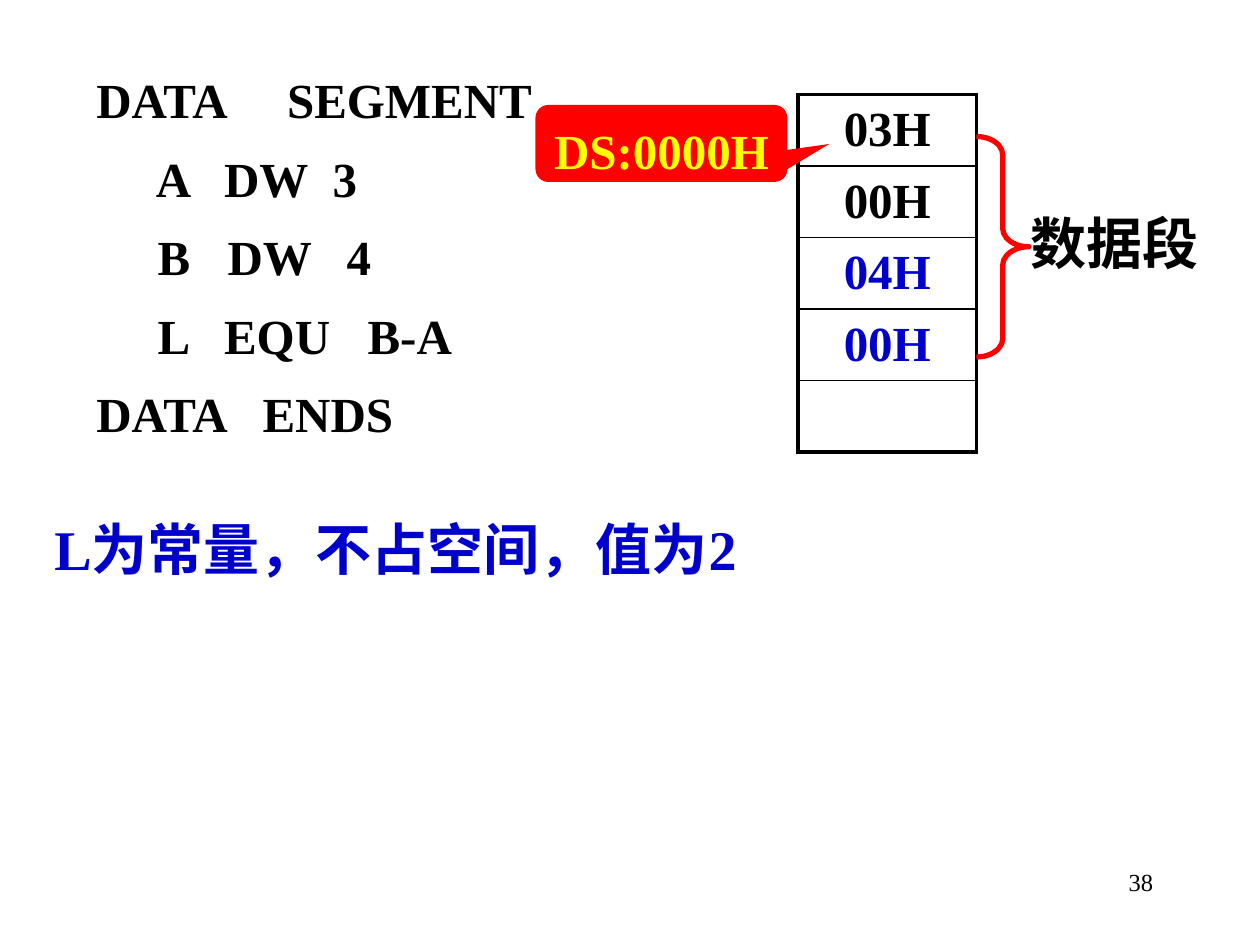
import pptx
import pptx.util
import pptx.dml.color
import pptx.enum.shapes
import pptx.enum.text
import pptx.oxml.ns
from lxml import etree

Pt = pptx.util.Pt
SHAPES = pptx.enum.shapes.MSO_SHAPE
ALIGN = pptx.enum.text.PP_ALIGN
ANCHOR = pptx.enum.text.MSO_ANCHOR
FONT = "Times New Roman"
BLACK, BLUE, RED, YELLOW = "000000", "0000CC", "FF0000", "FFFF00"


def color(hex_code):
    return pptx.dml.color.RGBColor.from_string(hex_code)


def sub(parent, tag, **attributes):
    child = etree.SubElement(parent, pptx.oxml.ns.qn(tag))
    for key, value in attributes.items():
        child.set(key, str(value))
    return child


def write(frame, lines, size=28, hue=BLACK, bold=True, align=ALIGN.LEFT,
          spacing=1.0, before=0, inset=(7.2, 3.6), anchor=ANCHOR.TOP, tabs=None):
    """Fill a text frame; tabs holds one list of stops for each line."""
    frame.word_wrap = True
    frame.vertical_anchor = anchor
    frame.margin_left = frame.margin_right = Pt(inset[0])
    frame.margin_top = frame.margin_bottom = Pt(inset[1])
    for index, line in enumerate(lines):
        paragraph = frame.paragraphs[0] if index == 0 else frame.add_paragraph()
        paragraph.alignment = align
        paragraph.line_spacing = spacing
        paragraph.space_before = Pt(before)
        run = paragraph.add_run()
        run.text = line
        run.font.name = FONT
        run.font.size = Pt(size)
        run.font.bold = bold
        run.font.color.rgb = color(hue)
        if tabs:
            stops = sub(paragraph._p.get_or_add_pPr(), "a:tabLst")
            for stop in tabs[index]:
                sub(stops, "a:tab", pos=int(Pt(stop)), algn="l")


def text_box(slide, box, lines, **style):
    label = slide.shapes.add_textbox(*map(Pt, box))
    write(label.text_frame, lines, **style)


def code_listing(slide, box):
    rows = [
        ("DATA\tSEGMENT", [109]),
        ("\tA\tDW\t3", [34, 73, 135]),
        ("\tB\tDW\t4", [35, 75, 143]),
        ("\tL\tEQU\tB-A", [35, 73, 155]),
        ("DATA\tENDS", [95]),
    ]
    text_box(slide, box, [line for line, _ in rows], spacing=1.2, before=4.5,
             tabs=[stops for _, stops in rows])


def cell_border(cell, side, width):
    line = sub(cell._tc.get_or_add_tcPr(), "a:" + side, w=int(Pt(width)))
    sub(sub(line, "a:solidFill"), "a:srgbClr", val=BLACK)


def memory_cells(slide, box):
    values = [("03H", BLACK), ("00H", BLACK), ("04H", BLUE), ("00H", BLUE), ("", BLACK)]
    memory = slide.shapes.add_table(len(values), 1, *map(Pt, box)).table
    memory.first_row = memory.horz_banding = False
    last = len(values) - 1
    for index, (value, hue) in enumerate(values):
        memory.rows[index].height = Pt(box[3] / len(values))
        cell = memory.cell(index, 0)
        cell.vertical_anchor = ANCHOR.MIDDLE
        if value:
            write(cell.text_frame, [value], hue=hue, align=ALIGN.CENTER)
        # Thick outer frame, thin lines between the bytes
        cell_border(cell, "lnL", 2.25)
        cell_border(cell, "lnR", 2.25)
        cell_border(cell, "lnT", 2.25 if index == 0 else 1)
        cell_border(cell, "lnB", 2.25 if index == last else 1)
        cell.fill.background()


def address_callout(slide, box):
    callout = slide.shapes.add_shape(SHAPES.ROUNDED_RECTANGULAR_CALLOUT, *map(Pt, box))
    callout.shadow.inherit = False
    for index, value in enumerate((0.666, 0.007, 0.167)):
        callout.adjustments[index] = value
    callout.fill.solid()
    callout.fill.fore_color.rgb = color(RED)
    callout.line.fill.background()
    write(callout.text_frame, ["DS:0000H"], hue=YELLOW, align=ALIGN.CENTER,
          spacing=1.2, before=6, inset=(0, 0))


def segment_brace(slide, box):
    brace = slide.shapes.add_shape(SHAPES.RIGHT_BRACE, *map(Pt, box))
    brace.shadow.inherit = False
    brace.adjustments[0] = 0.35
    brace.adjustments[1] = 0.5
    brace.fill.background()
    brace.line.color.rgb = color(RED)
    brace.line.width = Pt(3)


deck = pptx.Presentation()
deck.slide_width, deck.slide_height = Pt(720), Pt(540)
slide = deck.slides.add_slide(deck.slide_layouts[6])

# Page number
text_box(slide, (516, 492, 150, 36), ["38"], size=14, bold=False, align=ALIGN.RIGHT)

# Program and the memory it fills
code_listing(slide, (48, 29.5, 276, 222.5))
memory_cells(slide, (456, 54, 102, 204))
address_callout(slide, (306, 60, 144, 44))
segment_brace(slide, (558, 78, 30, 126))

# Segment label and conclusion
text_box(slide, (582, 108, 126, 53.5), ["数据段"], size=32, spacing=1.2, before=4)
text_box(slide, (24, 283, 534, 53.5), ["L为常量，不占空间，值为2"], size=32, hue=BLUE,
         spacing=1.2, before=4)

deck.save("out.pptx")
